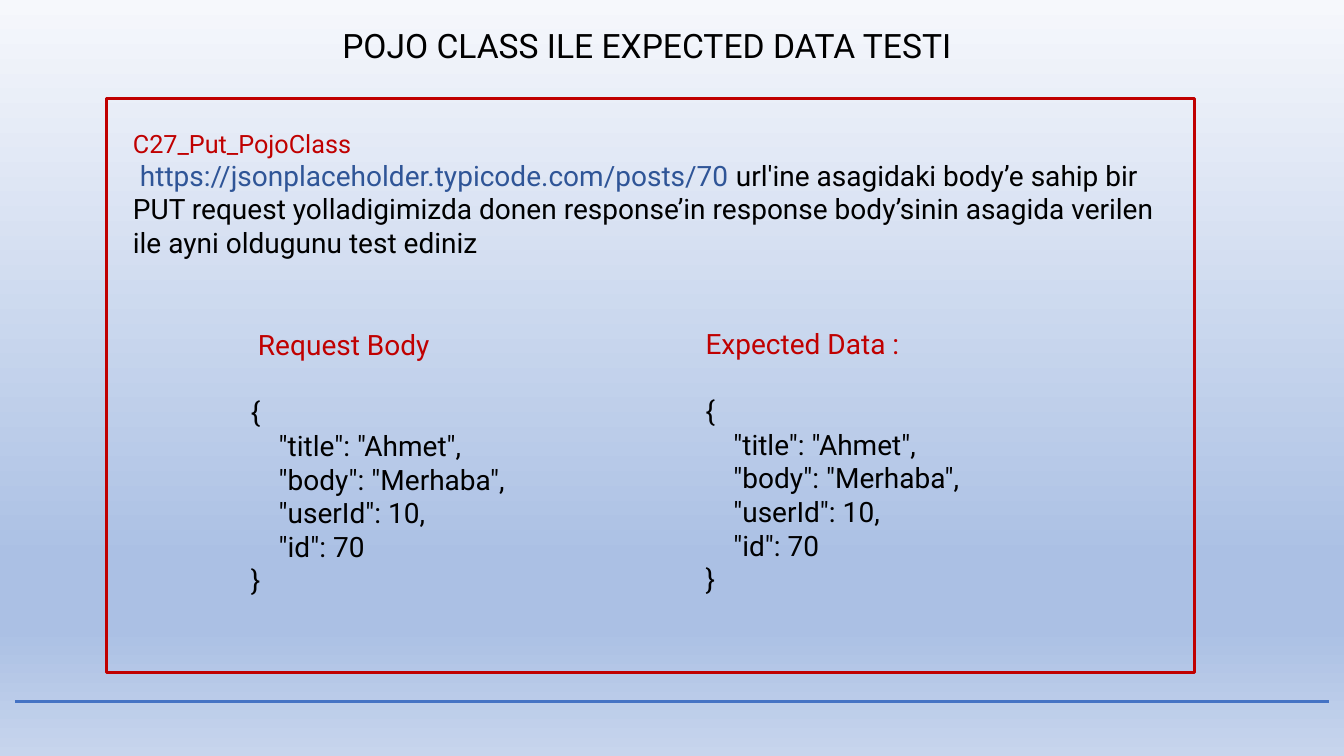
from lxml import etree
from pptx import Presentation
from pptx.dml.color import RGBColor
from pptx.enum.shapes import MSO_CONNECTOR, MSO_SHAPE
from pptx.enum.text import PP_ALIGN
from pptx.oxml.ns import qn
from pptx.util import Inches, Pt

STRAIGHT = MSO_CONNECTOR.STRAIGHT
RECT = MSO_SHAPE.RECTANGLE
LEFT, CENTER = PP_ALIGN.LEFT, PP_ALIGN.CENTER
FONT = "Roboto"
WIDTH, HEIGHT = Inches(13.33), Inches(7.5)
INDENT = Inches(0.07)
COLORS = {"red": "C00000", "black": "000000", "link": "2F5597", "rule": "4472C4",
          "top": "F6F8FC", "middle": "ABC0E4", "bottom": "C7D5ED"}
STOPS = [(0, "top"), (74, "middle"), (83, "middle"), (100, "bottom")]
JSON_LINES = ["{", '    "title": "Ahmet",', '    "body": "Merhaba",',
              '    "userId": 10,', '    "id": 70', "}"]


def rgb(name):
    return RGBColor.from_string(COLORS[name])


def across(percent):
    return round(WIDTH * percent / 100)


def down(percent):
    return round(HEIGHT * percent / 100)


def area(x, y, w, h):
    return across(x), down(y), across(w), down(h)


def set_background(s):
    fill = s.background.fill
    fill.gradient()
    fill.gradient_angle = 270
    gs_list = s.background._cSld.find(".//" + qn("a:gsLst"))
    for stop in list(gs_list):
        gs_list.remove(stop)
    for position, color in STOPS:
        stop = etree.SubElement(gs_list, qn("a:gs"), pos=str(position * 1000))
        etree.SubElement(stop, qn("a:srgbClr"), val=COLORS[color])


def add_rule(s, x1, x2, y):
    rule = s.shapes.add_connector(STRAIGHT, across(x1), down(y), across(x2), down(y))
    rule.line.color.rgb = rgb("rule")
    rule.line.width = Pt(2.25)
    etree.SubElement(rule._element.spPr, qn("a:effectLst"))


def add_frame(s, *box):
    sp = s.shapes.add_shape(RECT, *area(*box))
    sp.shadow.inherit = False
    sp.fill.background()
    sp.line.color.rgb = rgb("red")
    sp.line.width = Pt(2.25)


def add_text(s, box, paragraphs, align=LEFT):
    tf = s.shapes.add_textbox(*area(*box)).text_frame
    tf.word_wrap = True
    for i, runs in enumerate(paragraphs):
        p = tf.paragraphs[0] if i == 0 else tf.add_paragraph()
        p.alignment = align
        for text, size, color in runs:
            r = p.add_run()
            r.text = text
            r.font.name = FONT
            r.font.size = Pt(size)
            r.font.color.rgb = rgb(color)
    return tf


def indent_first_line(p):
    p._p.get_or_add_pPr().set("indent", str(INDENT))


def add_json(s, box, heading):
    lines = [[(heading, 20, "red")]] + [[(line, 20, "black")] for line in JSON_LINES]
    tf = add_text(s, box, lines)
    tf.paragraphs[1].space_before = Pt(24)
    return tf


def main():
    prs = Presentation()
    prs.slide_width, prs.slide_height = WIDTH, HEIGHT
    s = prs.slides.add_slide(prs.slide_layouts[6])
    set_background(s)
    add_rule(s, 1.13, 98.87, 92.8)
    task = add_text(s, (9.15, 16.27, 77.87, 18.8), [
        [("C27_Put_PojoClass", 18, "red")],
        [("https://jsonplaceholder.typicode.com/posts/70 ", 20, "link"),
         ("url'ine asagidaki body’e sahip bir PUT request yolladigimizda donen "
          "response’in response body’sinin asagida verilen ile ayni oldugunu "
          "test ediniz", 20, "black")]])
    indent_first_line(task.paragraphs[1])
    add_frame(s, 7.95, 13.07, 80.95, 75.87)
    add_text(s, (20.86, 2.67, 54.54, 6.67),
             [[("POJO CLASS ILE EXPECTED DATA TESTI", 24, "black")]], CENTER)
    add_json(s, (51.76, 42.53, 24.98, 37.2), "Expected Data :")
    request = add_json(s, (17.93, 42.67, 27.83, 37.2), "Request Body")
    indent_first_line(request.paragraphs[0])
    prs.save("out.pptx")


if __name__ == "__main__":
    main()
